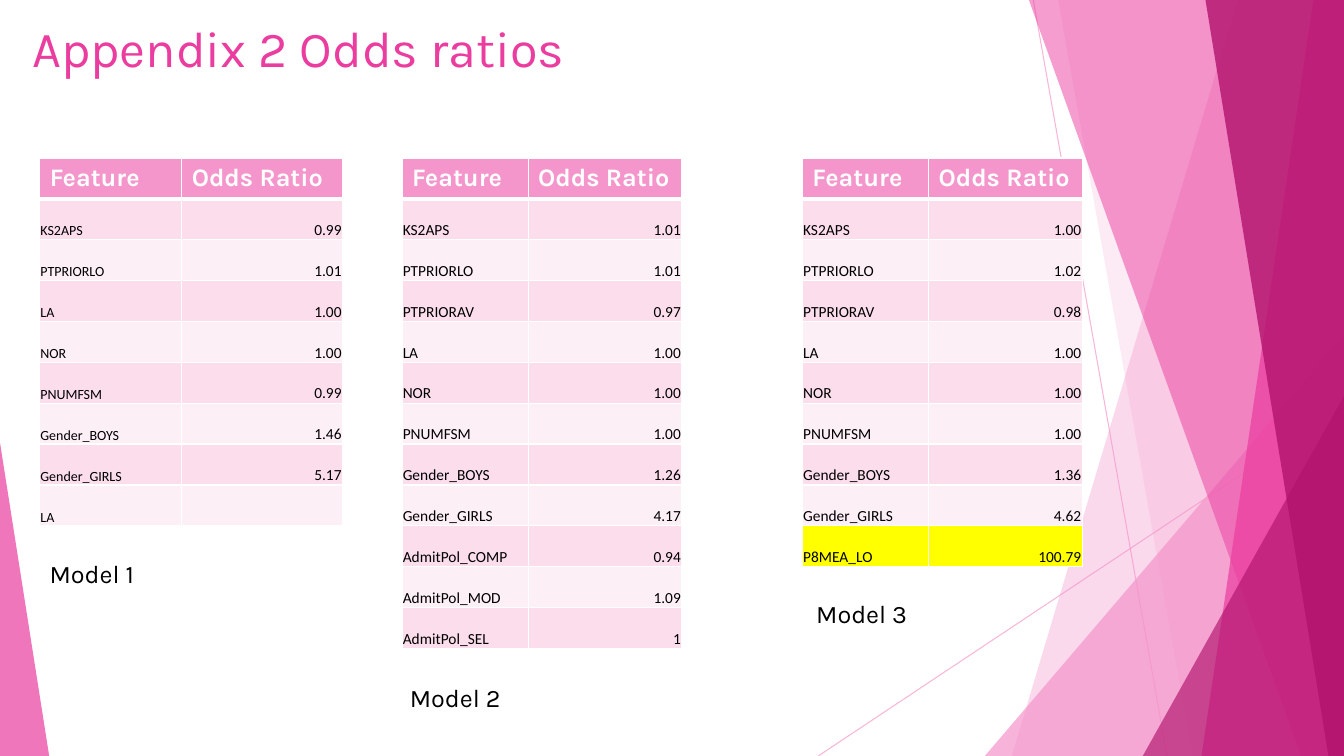
from lxml import etree
from pptx import Presentation
from pptx import util as u
from pptx.dml.color import RGBColor
from pptx.enum import shapes, text
from pptx.oxml import ns


class Theme:
    accent, light, dark = "EB3D9F", "F496CB", "B2136D"
    white, black, highlight = "FFFFFF", "000000", "FFFF00"
    bands = ("FBDDEC", "FDEFF6")
    heading_font, body_font = "Karla", "Calibri"
    title_size, heading_size, value_size = 36, 18, 11


def add_run(p, words, size, font, colour, bold=False):
    r = p.add_run()
    r.text = words
    r.font.size = u.Pt(size)
    r.font.name = font
    r.font.bold = bold
    r.font.color.rgb = RGBColor.from_string(colour)


def set_opacity(s, percent):
    for colour in s._element.spPr.iter(ns.qn("a:srgbClr")):
        etree.SubElement(colour, ns.qn("a:alpha"), val=str(percent * 1000))


WIDTH, HEIGHT = 33.87, 19.05
prs = Presentation()
prs.slide_width, prs.slide_height = u.Cm(WIDTH), u.Cm(HEIGHT)
slide = prs.slides.add_slide(prs.slide_layouts[6])

for ends in [(26.04, 0, 29.41, HEIGHT), (WIDTH, 10.24, 20.62, HEIGHT)]:
    s = slide.shapes.add_connector(
        shapes.MSO_CONNECTOR.STRAIGHT, *[u.Cm(v) for v in ends])
    s.line.color.rgb = RGBColor.from_string(Theme.light)
    s.line.width = u.Pt(0.75)
    set_opacity(s, 70)
    etree.SubElement(s._element.spPr, ns.qn("a:effectLst"))

# Two numbers: top and bottom x of a band; five: box and apex of a triangle.
facets = [
    ((31.19, 25.5), Theme.light, 36),
    ((26.67, 30.05), Theme.light, 20),
    ((24.82, 8.46, 9.05, 10.59, 1), Theme.light, 72),
    ((25.93, 32.79), Theme.accent, 50),
    ((33.1, 30.28), Theme.accent, 70),
    ((30.38, 33.48), Theme.dark, 80),
    ((28.8, 9.98, 5.07, 9.07, 1), Theme.dark, 66),
    ((0, 11.15, 1.24, 7.9, 0), Theme.accent, 70),
]
for geometry, colour, opacity in facets:
    if len(geometry) == 2:
        top_x, bottom_x = geometry
        outline = slide.shapes.build_freeform(u.Cm(top_x), 0)
        outline.add_line_segments(
            [(u.Cm(x), u.Cm(y)) for x, y in
             [(WIDTH, 0), (WIDTH, HEIGHT), (bottom_x, HEIGHT)]])
        s = outline.convert_to_shape()
    else:
        *box, apex = geometry
        s = slide.shapes.add_shape(
            shapes.MSO_SHAPE.ISOSCELES_TRIANGLE, *[u.Cm(v) for v in box])
        s.adjustments[0] = apex
    s.shadow.inherit = False
    s.fill.solid()
    s.fill.fore_color.rgb = RGBColor.from_string(colour)
    s.line.fill.background()
    set_opacity(s, opacity)

ROW = 1.03
TABLE_TOP = 3.98
models = [
    (1, (3.58, 4.05), 10, [
        ("KS2APS", "0.99"), ("PTPRIORLO", "1.01"), ("LA", "1.00"),
        ("NOR", "1.00"), ("PNUMFSM", "0.99"), ("Gender_BOYS", "1.46"),
        ("Gender_GIRLS", "5.17"), ("LA", "")]),
    (10.13, (3.18, 3.87), 11, [
        ("KS2APS", "1.01"), ("PTPRIORLO", "1.01"), ("PTPRIORAV", "0.97"),
        ("LA", "1.00"), ("NOR", "1.00"), ("PNUMFSM", "1.00"),
        ("Gender_BOYS", "1.26"), ("Gender_GIRLS", "4.17"),
        ("AdmitPol_COMP", "0.94"), ("AdmitPol_MOD", "1.09"),
        ("AdmitPol_SEL", "1")]),
    (20.22, (3.18, 3.87), 11, [
        ("KS2APS", "1.00"), ("PTPRIORLO", "1.02"), ("PTPRIORAV", "0.98"),
        ("LA", "1.00"), ("NOR", "1.00"), ("PNUMFSM", "1.00"),
        ("Gender_BOYS", "1.36"), ("Gender_GIRLS", "4.62"),
        ("P8MEA_LO", "100.79")]),
]
for left, widths, feature_size, ratios in models:
    rows = [("Feature", "Odds Ratio"), *ratios]
    table = slide.shapes.add_table(
        len(rows), 2, u.Cm(left), u.Cm(TABLE_TOP),
        u.Cm(sum(widths)), u.Cm(ROW * len(rows))).table
    for column, width in zip(table.columns, widths):
        column.width = u.Cm(width)
    for i, row in enumerate(rows):
        table.rows[i].height = u.Cm(ROW)
        for j, words in enumerate(row):
            cell = table.cell(i, j)
            tc_pr = cell._tc.get_or_add_tcPr()
            for side in "LRTB":
                thick = (i, side) in [(0, "B"), (1, "T")]
                ln = etree.SubElement(
                    tc_pr, ns.qn(f"a:ln{side}"), w=str(u.Pt(3 if thick else 1)))
                fill = etree.SubElement(ln, ns.qn("a:solidFill"))
                etree.SubElement(fill, ns.qn("a:srgbClr"), val=Theme.white)
            if i == 0:
                colour = Theme.light
            elif row[0] == "P8MEA_LO":
                colour = Theme.highlight
            else:
                colour = Theme.bands[(i - 1) % 2]
            cell.fill.solid()
            cell.fill.fore_color.rgb = RGBColor.from_string(colour)
            p = cell.text_frame.paragraphs[0]
            if i == 0:
                add_run(p, words, Theme.heading_size, Theme.heading_font,
                        Theme.white, True)
            elif words:
                cell.vertical_anchor = text.MSO_ANCHOR.BOTTOM
                cell.margin_left = cell.margin_right = cell.margin_top = u.Cm(0.02)
                cell.margin_bottom = 0
                if j == 1:
                    p.alignment = text.PP_ALIGN.RIGHT
                add_run(p, words, Theme.value_size if j else feature_size,
                        Theme.body_font, Theme.black)

labels = [
    ("Appendix 2 Odds ratios", (0.56, 0.3, 23.88, 3.96),
     Theme.title_size, Theme.accent),
    ("Model 1", (1, 13.94, 4.83, 1.02), Theme.heading_size, Theme.black),
    ("Model 3", (20.32, 14.94, 4.83, 1.02), Theme.heading_size, Theme.black),
    ("Model 2", (10.08, 17.07, 4.83, 1.02), Theme.heading_size, Theme.black),
]
for words, box, size, colour in labels:
    tf = slide.shapes.add_textbox(*[u.Cm(v) for v in box]).text_frame
    tf.word_wrap = True
    add_run(tf.paragraphs[0], words, size, Theme.heading_font, colour)

prs.save("out.pptx")
